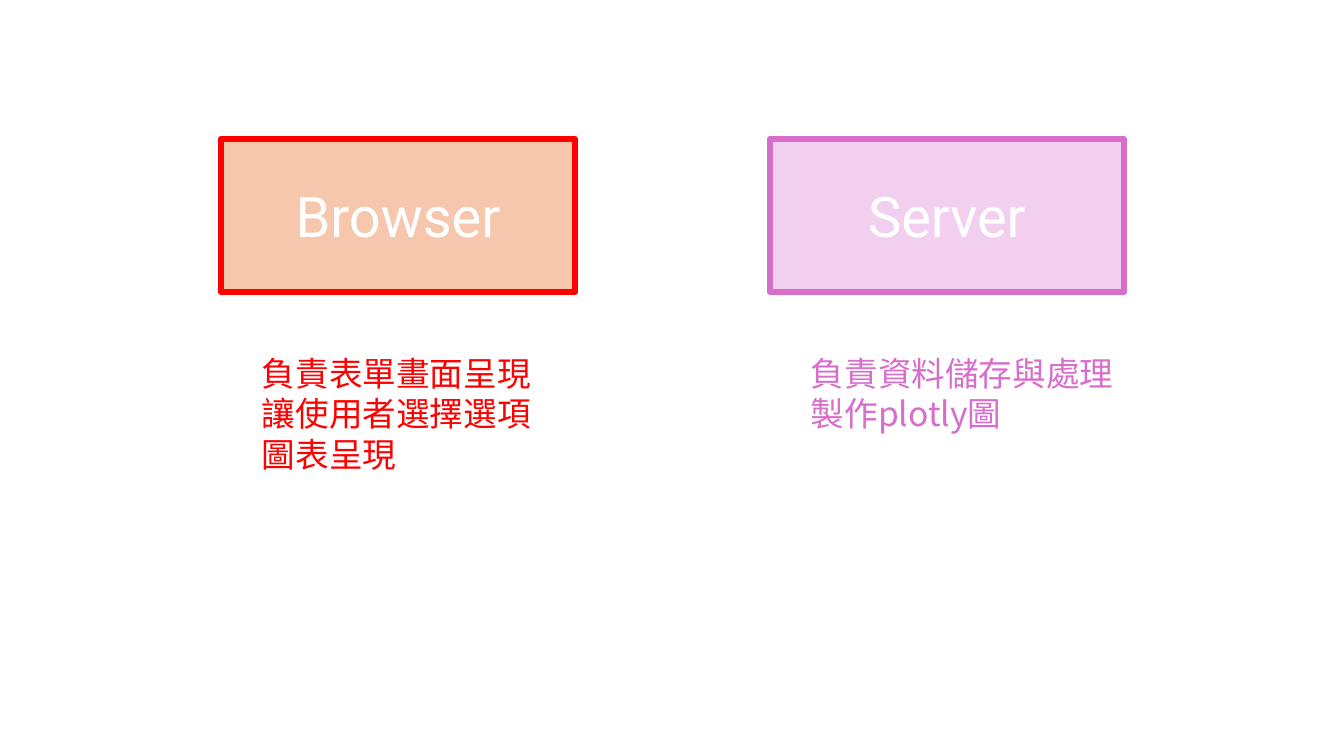
from dataclasses import dataclass

from lxml import etree
from pptx import Presentation
from pptx import util as u
from pptx.dml.color import RGBColor
from pptx.enum import shapes, text
from pptx.oxml.ns import qn

ROLES = [
    {
        "name": "Browser",
        "duties": ["負責表單畫面呈現", "讓使用者選擇選項", "圖表呈現"],
        "duties_width": 291,
        "fill": "F6C6AD",
        "accent": "FF0000",
    },
    {
        "name": "Server",
        "duties": ["負責資料儲存與處理", "製作plotly圖"],
        "duties_width": 326,
        "fill": "F2CFEE",
        "accent": "D86ECC",
    },
]


@dataclass(frozen=True)
class Theme:
    name_font: str = "Roboto"
    duty_font: str = "Noto Sans CJK SC"
    name_color: str = "FFFFFF"
    name_size: int = 40
    duty_size: int = 24
    border: float = 4.5


THEME = Theme()
SLIDE_WIDTH, SLIDE_HEIGHT = 1344, 756
BOX_LEFT, BOX_TOP, BOX_WIDTH, BOX_HEIGHT = 221, 139, 354, 153
BOX_STEP = 549
DUTIES_INDENT, DUTIES_TOP = 31, 348
DUTY_LINE, DUTIES_PADDING = 40, 12


def px(length):
    return u.Emu(round(length * 914400 / 100.8))


def add_run(paragraph, words, font, size, color):
    run = paragraph.add_run()
    run.text = words
    run.font.name = font
    run.font.size = u.Pt(size)
    run.font.color.rgb = RGBColor.from_string(color)
    east_asian = etree.SubElement(run.font._element, qn("a:ea"))
    east_asian.set("typeface", font)


def add_role_box(slide, role, left):
    shape = slide.shapes.add_shape(
        shapes.MSO_SHAPE.RECTANGLE, px(left), px(BOX_TOP), px(BOX_WIDTH), px(BOX_HEIGHT)
    )
    shape.shadow.inherit = False
    shape.fill.solid()
    shape.fill.fore_color.rgb = RGBColor.from_string(role["fill"])
    shape.line.color.rgb = RGBColor.from_string(role["accent"])
    shape.line.width = u.Pt(THEME.border)
    frame = shape.text_frame
    frame.vertical_anchor = text.MSO_ANCHOR.MIDDLE
    paragraph = frame.paragraphs[0]
    paragraph.alignment = text.PP_ALIGN.CENTER
    add_run(paragraph, role["name"], THEME.name_font, THEME.name_size, THEME.name_color)


def add_duties(slide, role, left):
    duties = role["duties"]
    height = DUTIES_PADDING + DUTY_LINE * len(duties)
    shape = slide.shapes.add_textbox(
        px(left), px(DUTIES_TOP), px(role["duties_width"]), px(height)
    )
    frame = shape.text_frame
    frame.word_wrap = False
    frame.auto_size = text.MSO_AUTO_SIZE.SHAPE_TO_FIT_TEXT
    for index, duty in enumerate(duties):
        paragraph = frame.add_paragraph() if index else frame.paragraphs[0]
        add_run(paragraph, duty, THEME.duty_font, THEME.duty_size, role["accent"])


def main():
    presentation = Presentation()
    presentation.slide_width = px(SLIDE_WIDTH)
    presentation.slide_height = px(SLIDE_HEIGHT)
    slide = presentation.slides.add_slide(presentation.slide_layouts[6])
    for index, role in enumerate(ROLES):
        left = BOX_LEFT + index * BOX_STEP
        add_role_box(slide, role, left)
        add_duties(slide, role, left + DUTIES_INDENT)
    presentation.save("out.pptx")


if __name__ == "__main__":
    main()
